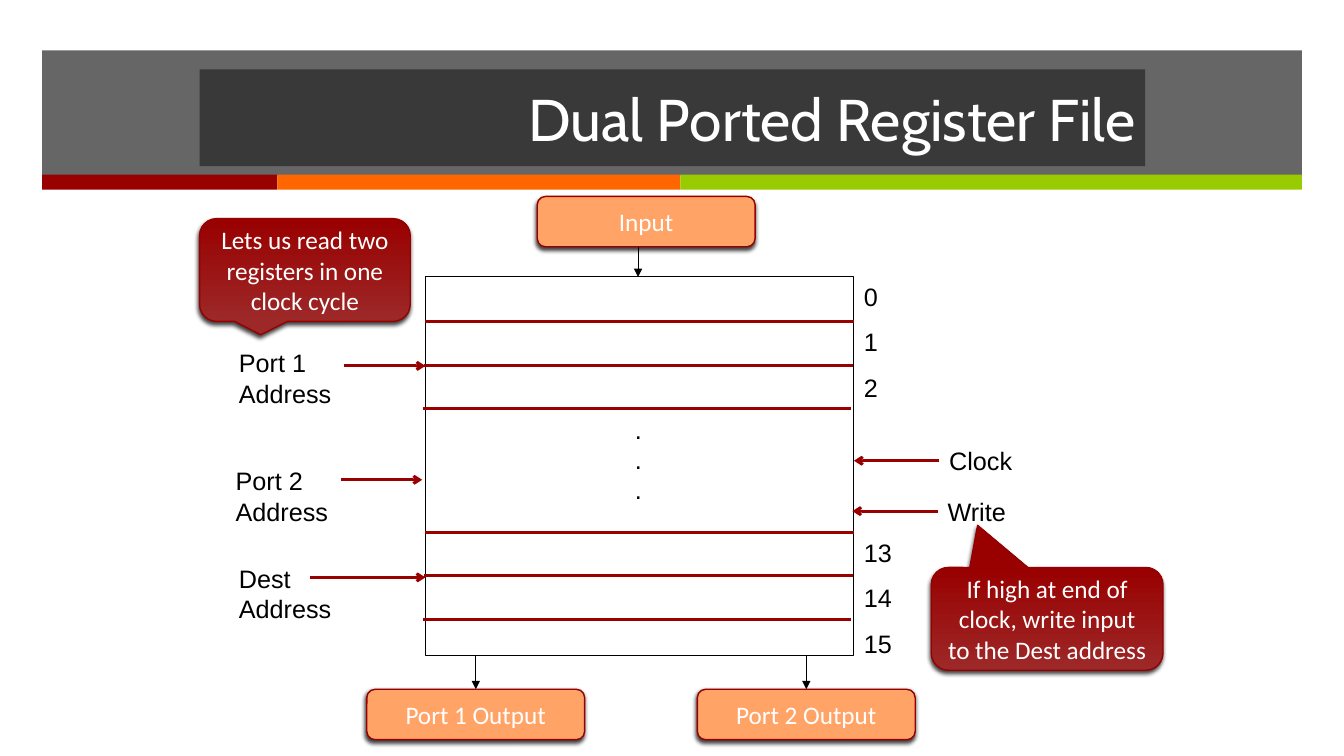
from lxml import etree
from pptx import Presentation
from pptx.dml.color import RGBColor
from pptx.enum.shapes import MSO_CONNECTOR, MSO_SHAPE
from pptx.enum.text import MSO_ANCHOR, PP_ALIGN
from pptx.oxml.ns import qn
from pptx.util import Cm, Pt

RECTANGLE = MSO_SHAPE.RECTANGLE
ROUNDED = MSO_SHAPE.ROUNDED_RECTANGLE
CALLOUT = MSO_SHAPE.ROUNDED_RECTANGULAR_CALLOUT
STRAIGHT = MSO_CONNECTOR.STRAIGHT
LEFT, CENTER, RIGHT = PP_ALIGN.LEFT, PP_ALIGN.CENTER, PP_ALIGN.RIGHT
MIDDLE = MSO_ANCHOR.MIDDLE

BLACK = RGBColor(0x00, 0x00, 0x00)
WHITE = RGBColor(0xFF, 0xFF, 0xFF)
CHARCOAL = RGBColor(0x26, 0x26, 0x26)
RED = RGBColor(0x99, 0x00, 0x00)
LIGHT_RED = RGBColor(0x9D, 0x28, 0x28)
BORDER_RED = RGBColor(0x96, 0x00, 0x00)
ORANGE = RGBColor(0xFF, 0x66, 0x00)
GREEN = RGBColor(0x99, 0xCC, 0x00)
PEACH = RGBColor(0xFF, 0xA3, 0x66)


def add_box(slide, kind, left, top, width, height, fill=None, alpha=None):
    shape = slide.shapes.add_shape(kind, Cm(left), Cm(top), Cm(width), Cm(height))
    shape.shadow.inherit = False
    shape.line.fill.background()
    if fill is None:
        shape.fill.background()
    else:
        shape.fill.solid()
        shape.fill.fore_color.rgb = fill
    if alpha is not None:
        color = shape.fill._xPr.find(qn("a:solidFill"))[0]
        etree.SubElement(color, qn("a:alpha"), val=str(alpha * 1000))
    return shape


def outline(shape, color, width):
    shape.line.color.rgb = color
    shape.line.width = Pt(width)


def write(shape, paragraphs, font, size, color, alignment):
    frame = shape.text_frame
    for index, text in enumerate(paragraphs):
        paragraph = frame.add_paragraph() if index else frame.paragraphs[0]
        paragraph.alignment = alignment
        for number, line in enumerate(text.split("\n")):
            if number:
                paragraph.add_line_break()
            run = paragraph.add_run()
            run.text = line
            run.font.name = font
            run.font.size = Pt(size)
            run.font.color.rgb = color


def add_label(slide, paragraphs, left, top, width, height=1.02, alignment=LEFT):
    label = slide.shapes.add_textbox(Cm(left), Cm(top), Cm(width), Cm(height))
    label.text_frame.word_wrap = alignment == CENTER
    write(label, paragraphs, "Arial", 18, BLACK, alignment)


def add_line(slide, start, end, color=RED, width=2, head=None):
    line = slide.shapes.add_connector(
        STRAIGHT, Cm(start[0]), Cm(start[1]), Cm(end[0]), Cm(end[1]))
    outline(line, color, width)
    if head:
        etree.SubElement(line.line._get_or_add_ln(), qn("a:tailEnd"), type=head)
    etree.SubElement(line._element.spPr, qn("a:effectLst"))


def add_raised_box(slide, kind, text, left, top, width, height):
    shape = add_box(slide, kind, left, top, width, height, PEACH)
    outline(shape, BORDER_RED, 1)
    effects = shape._element.spPr.find(qn("a:effectLst"))
    shadow = etree.SubElement(
        effects, qn("a:outerShdw"), blurRad=str(Pt(3)), dist=str(Pt(2)),
        dir=str(110 * 60000), rotWithShape="0")
    color = etree.SubElement(shadow, qn("a:srgbClr"), val=str(BLACK))
    etree.SubElement(color, qn("a:alpha"), val="75000")
    shape.text_frame.word_wrap = True
    shape.text_frame.vertical_anchor = MIDDLE
    write(shape, [text], "Calibri", 18, WHITE, CENTER)
    return shape


def add_callout(slide, text, left, top, width, height, pointer):
    callout = add_raised_box(slide, CALLOUT, text, left, top, width, height)
    callout.adjustments[0], callout.adjustments[1] = pointer
    callout.fill.gradient()
    callout.fill.gradient_angle = 90
    for stop, color in zip(callout.fill.gradient_stops, (LIGHT_RED, RED)):
        stop.color.rgb = color


def add_header(slide, text, left, top, width, height):
    add_box(slide, RECTANGLE, left, top, width, height, CHARCOAL, 70)
    stripe_left = left
    for stripe_width, color in ((5.93, RED), (10.16, ORANGE), (15.66, GREEN)):
        add_box(slide, RECTANGLE, stripe_left, top + height - 0.02,
                stripe_width, 0.38, color)
        stripe_left += stripe_width
    title = add_box(slide, RECTANGLE, left + 3.97, top + 0.48, 23.83, 2.44, CHARCOAL, 70)
    title.text_frame.word_wrap = True
    title.text_frame.vertical_anchor = MIDDLE
    write(title, [text], "Cabin", 42, WHITE, RIGHT)


def add_register_file(slide, left, top, width, height):
    outline(add_box(slide, RECTANGLE, left, top, width, height), BLACK, 0.75)
    groups = (((0, 1, 2), 1.12, -0.02, 0.86), ((13, 14, 15), 6.43, 6.43, 1.22))
    for numbers, line_top, label_top, label_width in groups:
        for row, number in enumerate(numbers):
            line_left = left - 0.035 * row
            y = top + line_top + 1.1 * row
            add_line(slide, (line_left, y), (line_left + width, y))
            add_label(slide, [str(number)], left + width,
                      top + label_top + 1.15 * row, label_width)
    add_label(slide, ["."] * 3, left + 4.77, top + 3.33, 1.2, 2.57, CENTER)


def add_data_boxes(slide, left, top, width, height):
    box_width, box_height = 5.49, 1.27
    center = left + 5.36
    add_line(slide, (center, top - 0.76), (center, top), BLACK, 0.75, "triangle")
    add_raised_box(slide, ROUNDED, "Input", left + 2.82, top - 2.03, box_width, box_height)
    bottom = top + height
    for text, offset in (("Port 1 Output", 1.27), ("Port 2 Output", 9.6)):
        x = left + offset
        add_line(slide, (x, bottom), (x, bottom + 0.86), BLACK, 0.75, "triangle")
        add_raised_box(slide, ROUNDED, text, x - box_width / 2, bottom + 0.86,
                       box_width, box_height)


def add_control_signals(slide, left, top, width, height):
    addresses = (
        ("Port 1\nAddress", 4.95, 1.66, 2.06, 0, 2.24),
        ("Port 2\nAddress", 5.03, 4.63, 2.13, 0.08, 5.11),
        ("Dest\nAddress", 4.95, 7.09, 2.9, 0, 7.57),
    )
    for text, label_gap, label_top, start, end, y in addresses:
        add_label(slide, [text], left - label_gap, top + label_top, 2.9, 1.8)
        add_line(slide, (left - start, top + y), (left - end, top + y), head="arrow")
    right = left + width
    for text, shift, label_top, label_width in (
            ("Clock", 0, 4.12, 2.11), ("Write", -0.04, 5.39, 2.01)):
        x, y = right + shift, top + label_top + 0.51
        add_label(slide, [text], x + 2.15, top + label_top, label_width)
        add_line(slide, (x + 2.15, y), (x, y), head="arrow")


def add_notes_on_diagram(slide, left, top, width, height):
    add_callout(slide, "Lets us read two registers in one clock cycle",
                left - 5.69, top - 1.47, 5.31, 2.59, (-0.21, 0.63))
    add_callout(slide, "If high at end of clock, write input to the Dest address",
                left + width + 1.95, top + 7.32, 5.84, 2.59, (-0.3, -0.91))


def main():
    presentation = Presentation()
    presentation.slide_width = Cm(33.87)
    presentation.slide_height = Cm(19.05)
    slide = presentation.slides.add_slide(presentation.slide_layouts[6])
    add_header(slide, "Dual Ported Register File", 1.06, 1.27, 31.75, 3.15)
    register_file = (10.72, 6.98, 10.8, 9.53)
    add_register_file(slide, *register_file)
    add_data_boxes(slide, *register_file)
    add_control_signals(slide, *register_file)
    add_notes_on_diagram(slide, *register_file)
    presentation.save("out.pptx")


if __name__ == "__main__":
    main()
